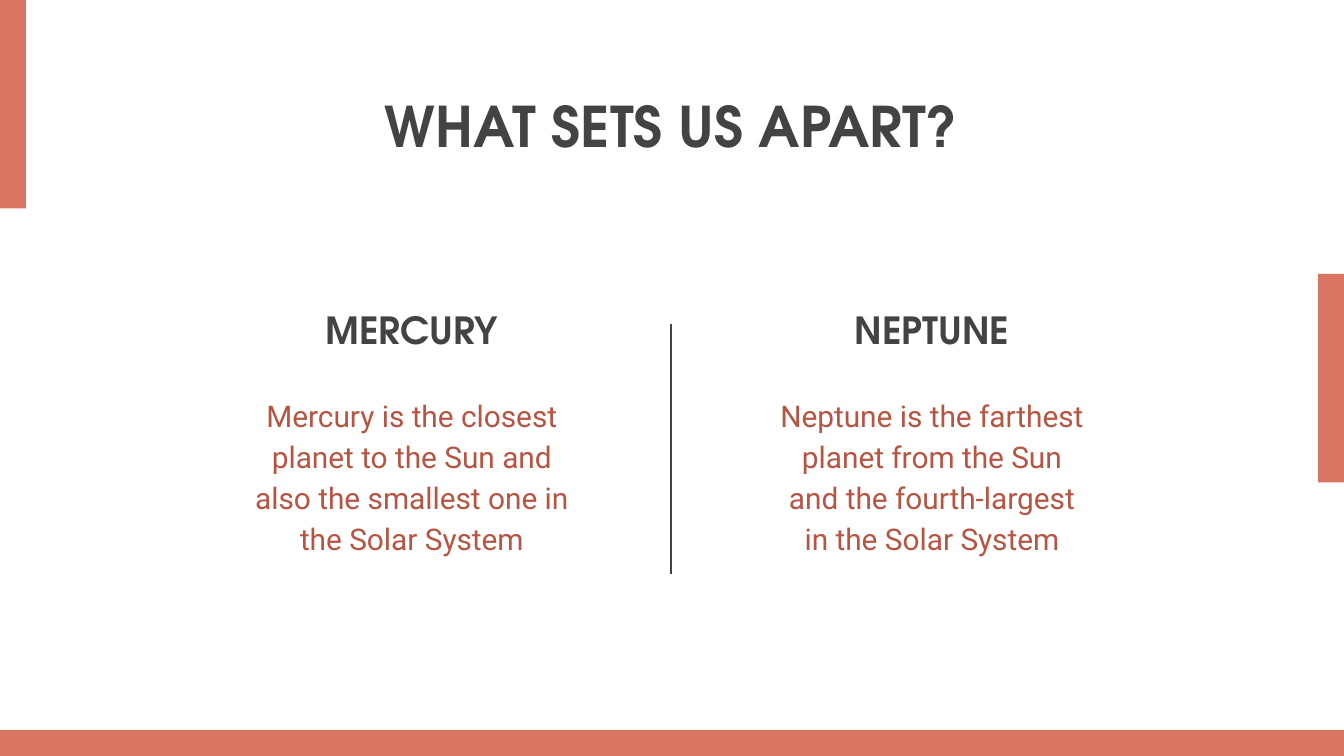
from pptx import Presentation
from pptx import util as u
from pptx.dml.color import RGBColor
from pptx.enum import shapes, text
from pptx.oxml.ns import qn
from lxml import etree

CORAL, RUST, DARK, WHITE = "DB7563", "B75442", "434343", "FFFFFF"
HEAD_FONT, BODY_FONT = "TeX Gyre Adventor", "Roboto"
WIDTH, HEIGHT, BAR, BAR_LENGTH = 25.4, 14.29, 0.49, 3.94

# Content
TITLE = "WHAT SETS US APART?"
PLANETS = [
    ("MERCURY", ["Mercury is the closest", "planet to the Sun and",
                 "also the smallest one in", "the Solar System"]),
    ("NEPTUNE", ["Neptune is the farthest", "planet from the Sun",
                 "and the fourth-largest", "in the Solar System"]),
]
BARS = [
    (0, 0, BAR, BAR_LENGTH),
    (WIDTH - BAR, 5.18, BAR, BAR_LENGTH),
    (0, HEIGHT - BAR, WIDTH, BAR),
]

prs = Presentation()
prs.slide_width, prs.slide_height = u.Cm(WIDTH), u.Cm(HEIGHT)
s = prs.slides.add_slide(prs.slide_layouts[6])


def rgb(color):
    return RGBColor.from_string(color)


def add_text(lines, box, size, color=DARK, font=HEAD_FONT, bold=True,
             anchor=text.MSO_ANCHOR.MIDDLE, spacing=None, bottom=0.25, fill=None):
    sp = s.shapes.add_textbox(*map(u.Cm, box))
    if fill:
        sp.fill.solid()
        sp.fill.fore_color.rgb = rgb(fill)
    tf = sp.text_frame
    tf.word_wrap = True
    tf.vertical_anchor = anchor
    tf.margin_left = tf.margin_right = tf.margin_top = u.Cm(0.25)
    tf.margin_bottom = u.Cm(bottom)
    for i, line in enumerate(lines):
        p = tf.paragraphs[0] if i == 0 else tf.add_paragraph()
        p.alignment = text.PP_ALIGN.CENTER
        p.line_spacing = spacing
        r = p.add_run()
        r.text = line
        r.font.name, r.font.size, r.font.bold = font, u.Pt(size), bold
        r.font.color.rgb = rgb(color)


# Edge bars
for box in BARS:
    sp = s.shapes.add_shape(shapes.MSO_SHAPE.RECTANGLE, *map(u.Cm, box))
    sp.shadow.inherit = False
    sp.fill.solid()
    sp.fill.fore_color.rgb = rgb(CORAL)
    sp.line.fill.background()

# Planet columns
for i, (name, lines) in enumerate(PLANETS):
    left = 3.25 + i * 9.83
    add_text([name], (left, 5.94, 9.07, 1.22), 20,
             anchor=text.MSO_ANCHOR.BOTTOM, bottom=0.51)
    add_text(lines, (left, 7.16, 9.07, 3.4), 16, color=RUST, font=BODY_FONT,
             bold=False, anchor=text.MSO_ANCHOR.TOP, spacing=1.15)

# Title
add_text([TITLE], (4.45, 1.37, 16.48, 1.98), 30, fill=WHITE)

# Divider between the columns
divider = s.shapes.add_connector(shapes.MSO_CONNECTOR.STRAIGHT,
                                 *map(u.Cm, (12.68, 6.12, 12.68, 10.85)))
divider.line.color.rgb = rgb(DARK)
divider.line.width = u.Pt(1.5)
etree.SubElement(divider._element.spPr, qn("a:effectLst"))

prs.save("out.pptx")
